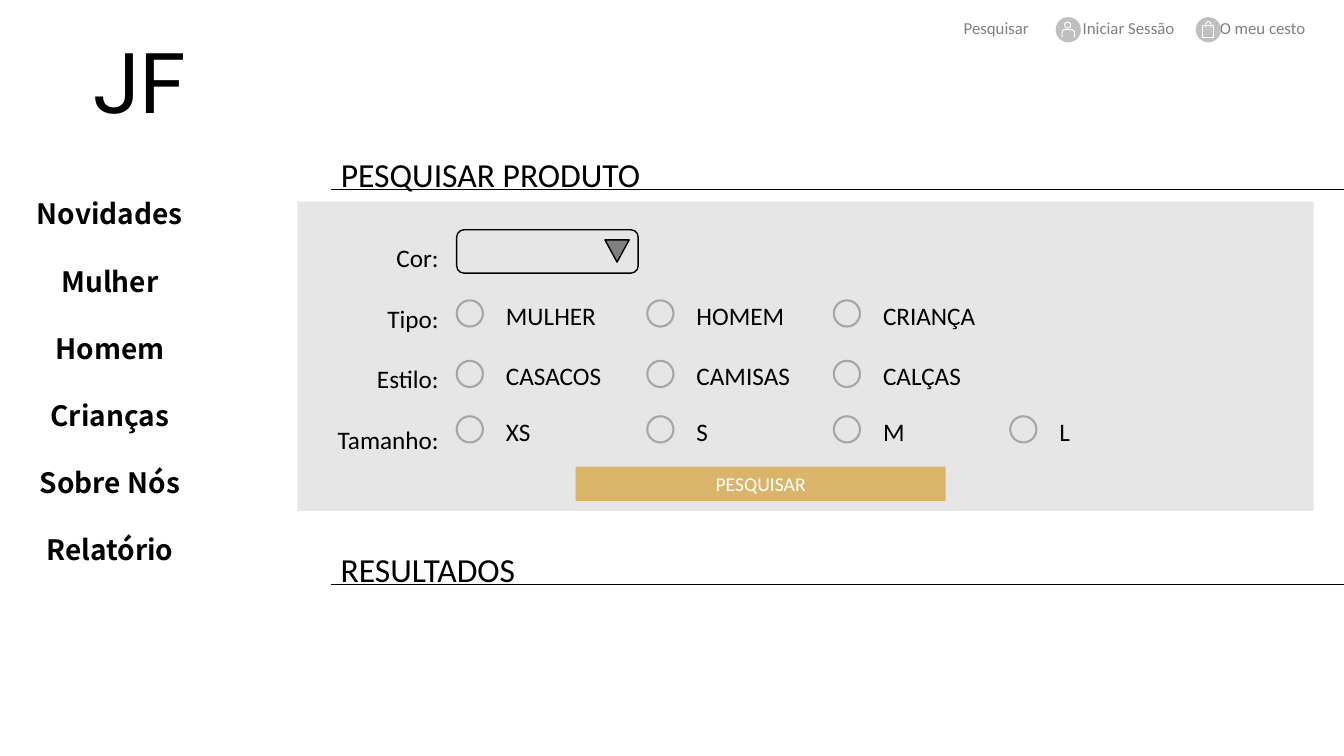
import pptx
import pptx.util
import pptx.dml.color
import pptx.enum.shapes
import pptx.enum.text
import pptx.oxml
import pptx.oxml.ns
from dataclasses import dataclass

Inches = pptx.util.Inches
Kind = pptx.enum.shapes.MSO_SHAPE
Align = pptx.enum.text.PP_ALIGN
Anchor = pptx.enum.text.MSO_ANCHOR


@dataclass(frozen=True)
class Theme:
    """Colours, fonts and type sizes of the shop page."""
    ink: str = "000000"
    grey: str = "808080"
    badge: str = "BFBFBF"
    ring: str = "A6A6A6"
    panel: str = "E7E6E6"
    gold: str = "D9B469"
    white: str = "FFFFFF"
    body: str = "Calibri"
    menu: str = "Noto Sans CJK JP"
    logo: str = "Roboto"
    logo_size: int = 60
    heading_size: int = 24
    menu_size: int = 20
    form_size: int = 18
    button_size: int = 14
    link_size: int = 12


THEME = Theme()


def rgb(value):
    """Turn a hex string into a colour."""
    return pptx.dml.color.RGBColor.from_string(value)


def write(shape, lines, size, font=THEME.body, color=THEME.ink, bold=False,
          align=Align.LEFT, spacing=1.0, anchor=Anchor.TOP):
    """Fill a shape with one formatted paragraph per line."""
    frame = shape.text_frame
    frame_format = {"word_wrap": True, "vertical_anchor": anchor,
                    "auto_size": pptx.enum.text.MSO_AUTO_SIZE.NONE}
    for name, value in frame_format.items():
        setattr(frame, name, value)
    font_format = {"name": font, "size": pptx.util.Pt(size), "bold": bold}
    for index, line in enumerate(lines):
        para = frame.add_paragraph() if index else frame.paragraphs[0]
        para.alignment, para.line_spacing = align, spacing
        span = para.add_run()
        span.text = line
        span.font.color.rgb = rgb(color)
        for name, value in font_format.items():
            setattr(span.font, name, value)


def add_text(page, box, lines, size, **style):
    """Place a text box with its lines."""
    write(page.shapes.add_textbox(*map(Inches, box)), lines, size, **style)


def paint(shape, fill=None, line=None, width=1):
    """Set fill and outline, and drop the shadow."""
    shape.shadow.inherit = False
    for part, color in ((shape.fill, fill), (shape.line.fill, line)):
        if color:
            part.solid()
            part.fore_color.rgb = rgb(color)
        else:
            part.background()
    if line:
        shape.line.width = pptx.util.Pt(width)
    return shape


def add_shape(page, kind, box, **style):
    """Place a painted preset shape."""
    return paint(page.shapes.add_shape(kind, *map(Inches, box)), **style)


def add_stroke(page, left, top, points, closed=False):
    """Draw a thin white outline through points given in hundredths of an inch."""
    start, *others = [(Inches(left + x / 100), Inches(top + y / 100)) for x, y in points]
    builder = page.shapes.build_freeform(*start, scale=1.0)
    builder.add_line_segments(others, close=closed)
    paint(builder.convert_to_shape(), line=THEME.white, width=0.75)


def add_account_icon(page, left, top):
    """Draw the round account badge."""
    add_shape(page, Kind.OVAL, (left, top, 0.25, 0.25), fill=THEME.badge)
    add_shape(page, Kind.OVAL, (left + 0.09, top + 0.05, 0.06, 0.06),
              line=THEME.white, width=0.75)
    add_stroke(page, left, top, [(6.5, 20), (6.5, 14), (8, 12.5), (16.5, 12.5), (18.5, 14), (18.5, 20)])


def add_basket_icon(page, left, top):
    """Draw the round shopping bag badge."""
    add_shape(page, Kind.OVAL, (left, top, 0.25, 0.25), fill=THEME.badge)
    add_stroke(page, left, top, [(7, 8.5), (18, 8.5), (18, 20), (7, 20)], closed=True)
    add_stroke(page, left, top, [(10, 10.5), (10, 6.5), (11.5, 4.5), (13.5, 4.5), (15, 6.5), (15, 10.5)])


def add_header(page, box):
    """Place the top links and their badges."""
    left, top, width, height = box
    links = (("Pesquisar", 0.01, 1), ("Iniciar Sessão", 1.19, 1.3), ("O meu cesto", 2.55, 1.2))
    for label, shift, length in links:
        add_text(page, (left + shift, top, length, height), [label], THEME.link_size,
                 color=THEME.grey, anchor=Anchor.MIDDLE)
    add_account_icon(page, left + 1.02, top + 0.09)
    add_basket_icon(page, left + 2.41, top + 0.09)


def add_sidebar(page, box):
    """Place the shop initials and the menu."""
    left, top, width, height = box
    add_text(page, (left + 0.83, top, 1.66, 1.11), ["JF"], THEME.logo_size, font=THEME.logo)
    menu = ["Novidades", "Mulher", "Homem", "Crianças", "Sobre Nós", "Relatório"]
    add_text(page, (left, top + 1.33, width, height - 1.33), menu, THEME.menu_size,
             font=THEME.menu, bold=True, align=Align.CENTER, spacing=2.0)


def add_heading(page, box, label, holder=None):
    """Place a section heading above a rule that runs to the page edge."""
    left, top, width, height = box
    rule_top = Inches(top + height)
    rule = page.shapes.add_connector(pptx.enum.shapes.MSO_CONNECTOR.STRAIGHT,
                                     Inches(left), rule_top, Inches(13.33), rule_top)
    rule.line.color.rgb = rgb(THEME.ink)
    rule.line.width = pptx.util.Pt(1)
    rule._element.spPr.append(pptx.oxml.parse_xml(
        "<a:effectLst %s/>" % pptx.oxml.ns.nsdecls("a")))
    holder = holder or page.shapes.add_textbox(0, 0, 0, 0)
    for name, value in zip(("left", "top", "width", "height"), box):
        setattr(holder, name, Inches(value))
    write(holder, [label], THEME.heading_size, spacing=2.0)


def add_option(page, left, top, label):
    """Place one radio button with its label."""
    add_shape(page, Kind.OVAL, (left, top, 0.26, 0.26), line=THEME.ring, width=1.5)
    add_text(page, (left + 0.39, top - 0.05, 1.33, 0.4), [label], THEME.form_size)


def add_search_form(page, box):
    """Place the search panel with its fields and button."""
    left, top, width, height = box
    add_shape(page, Kind.RECTANGLE, box, fill=THEME.panel)
    add_text(page, (left - 0.68, top + 0.06, 2.18, 2.44),
             ["Cor:", "Tipo:", "Estilo:", "Tamanho:"], THEME.form_size,
             align=Align.RIGHT, spacing=2.0)
    add_shape(page, Kind.ROUNDED_RECTANGLE, (left + 1.58, top + 0.28, 1.8, 0.43), line=THEME.ink)
    arrow = add_shape(page, Kind.ISOSCELES_TRIANGLE, (left + 3.05, top + 0.38, 0.24, 0.22),
                      fill=THEME.grey, line=THEME.ink)
    arrow.rotation = 180
    columns = (1.58, 3.47, 5.32, 7.07)
    rows = ((0.98, ("MULHER", "HOMEM", "CRIANÇA")),
            (1.58, ("CASACOS", "CAMISAS", "CALÇAS")),
            (2.13, ("XS", "S", "M", "L")))
    for down, labels in rows:
        for across, label in zip(columns, labels):
            add_option(page, left + across, top + down, label)
    button = add_shape(page, Kind.RECTANGLE, (left + 2.76, top + 2.63, 3.67, 0.34), fill=THEME.gold)
    write(button, ["PESQUISAR"], THEME.button_size, color=THEME.white,
          align=Align.CENTER, anchor=Anchor.MIDDLE)


def main():
    """Build the product search page."""
    deck = pptx.Presentation()
    deck.slide_width, deck.slide_height = Inches(13.33), Inches(7.5)
    page = deck.slides.add_slide(deck.slide_layouts[5])
    add_sidebar(page, (0, 0.24, 2.18, 6.49))
    add_header(page, (9.45, 0.08, 3.88, 0.4))
    add_search_form(page, (2.95, 2, 10.08, 3.07))
    add_heading(page, (3.28, 1.08, 4.82, 0.8), "PESQUISAR PRODUTO", page.shapes.title)
    add_heading(page, (3.28, 5, 5.08, 0.8), "RESULTADOS")
    deck.save("out.pptx")


if __name__ == "__main__":
    main()
